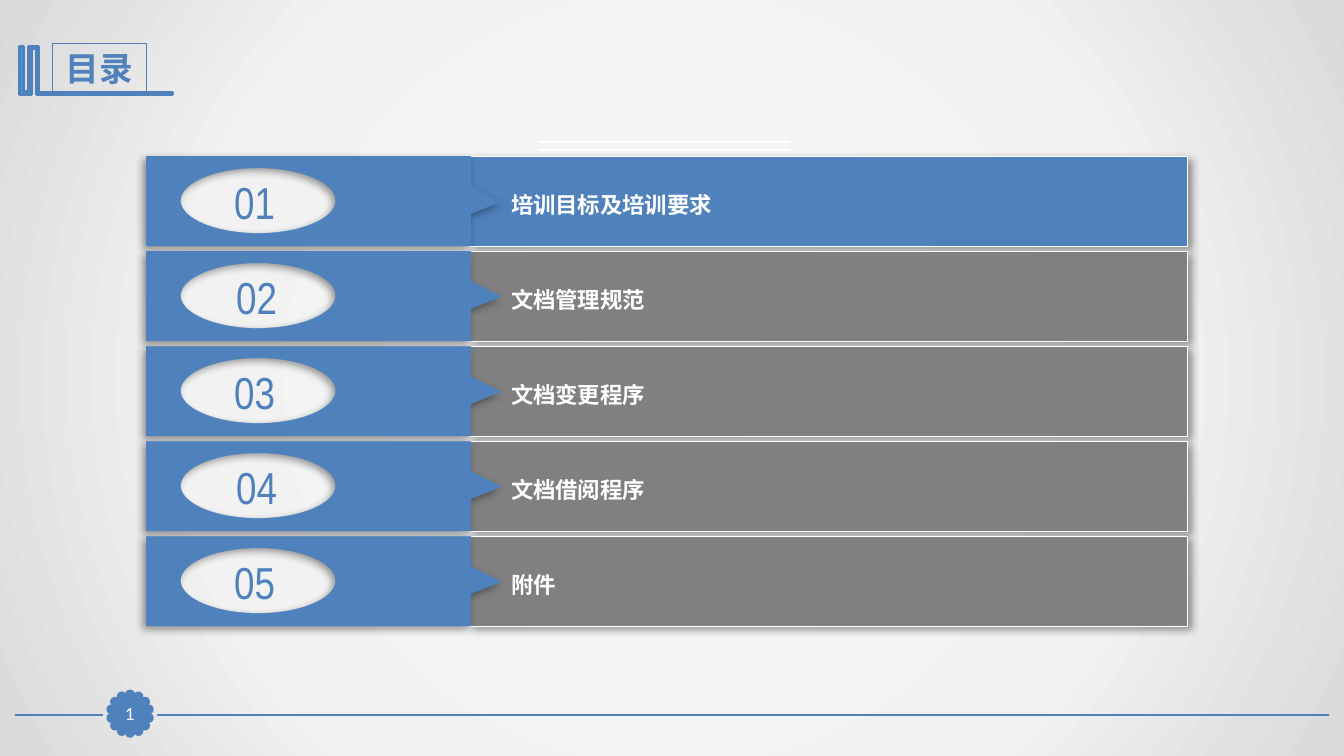
"""Build the contents slide with five numbered agenda rows."""
import math

from lxml import etree
from pptx import Presentation, oxml, util as u
from pptx.dml.color import RGBColor
from pptx.enum import shapes, text
from pptx.oxml import ns

BLUE, GREY, WHITE = "4F81BD", "808080", "FFFFFF"


def paint(shape, fill, line, width, shadow_angle=None):
    shape.shadow.inherit = False
    if fill:
        shape.fill.solid()
        shape.fill.fore_color.rgb = RGBColor.from_string(fill)
    else:
        shape.fill.background()
    shape.line.color.rgb = RGBColor.from_string(line)
    shape.line.width = u.Pt(width)
    if shadow_angle is not None:
        effects = shape._element.spPr.find(ns.qn("a:effectLst"))
        shadow = etree.SubElement(effects, ns.qn("a:outerShdw"), blurRad=str(u.Pt(6)),
                                  dist=str(u.Pt(3)), dir=str(shadow_angle * 60000),
                                  algn="ctr", rotWithShape="0")
        black = etree.SubElement(shadow, ns.qn("a:srgbClr"), val="000000")
        etree.SubElement(black, ns.qn("a:alpha"), val="40000")


def write(shape, words, size, font, color, bold=False, centred=True):
    frame = shape.text_frame
    frame.word_wrap = True
    frame.text = words
    frame.vertical_anchor = text.MSO_ANCHOR.MIDDLE if centred else text.MSO_ANCHOR.TOP
    paragraph = frame.paragraphs[0]
    paragraph.alignment = text.PP_ALIGN.CENTER if centred else text.PP_ALIGN.LEFT
    run_font = paragraph.runs[0].font
    run_font.size, run_font.name, run_font.bold = u.Pt(size), font, bold
    run_font.color.rgb = RGBColor.from_string(color)


presentation = Presentation()
presentation.slide_width, presentation.slide_height = u.Inches(13.33), u.Inches(7.5)
slide = presentation.slides.add_slide(presentation.slide_layouts[6])

stops = "".join(f'<a:gs pos="{position}000"><a:srgbClr val="{color}"/></a:gs>'
                for position, color in ((0, "F6F9FC"), (63, "F2F2F2"), (100, "D9D9D9")))
background = oxml.parse_xml(
    f'<p:bg {ns.nsdecls("p", "a")}><p:bgPr><a:gradFill rotWithShape="1"><a:gsLst>{stops}</a:gsLst>'
    '<a:path path="circle"><a:fillToRect l="50000" t="50000" r="50000" b="50000"/></a:path>'
    '</a:gradFill><a:effectLst/></p:bgPr></p:bg>')
slide._element.cSld.insert(0, background)

for start, end, y, color, width in (
        (13.18, 1.56, 7.09, BLUE, 1.25), (1.02, 0.15, 7.09, BLUE, 1.25),
        (5.35, 7.84, 1.41, WHITE, 1.5), (5.35, 7.84, 1.49, WHITE, 1.5)):
    rule = slide.shapes.add_connector(shapes.MSO_CONNECTOR.STRAIGHT, u.Inches(start),
                                      u.Inches(y), u.Inches(end), u.Inches(y))
    rule.line.color.rgb = RGBColor.from_string(color)
    rule.line.width = u.Pt(width)
    etree.SubElement(rule._element.spPr, ns.qn("a:effectLst"))

PETALS, PETAL_SIZE, SEAL_RADIUS = 14, 0.07, 0.19
seal = slide.shapes.add_group_shape()
for petal_index in range(PETALS):
    angle = 2 * math.pi * petal_index / PETALS
    petal = seal.shapes.add_shape(
        shapes.MSO_SHAPE.OVAL,
        u.Inches(1.29 + SEAL_RADIUS * math.sin(angle) - PETAL_SIZE / 2),
        u.Inches(7.08 - SEAL_RADIUS * math.cos(angle) - PETAL_SIZE / 2),
        u.Inches(PETAL_SIZE), u.Inches(PETAL_SIZE))
    petal.rotation = math.degrees(angle)
    paint(petal, BLUE, BLUE, 2)

page_number = slide.shapes.add_shape(shapes.MSO_SHAPE.RECTANGLE, u.Inches(1.13),
                                     u.Inches(6.93), u.Inches(0.32), u.Inches(0.31))
paint(page_number, BLUE, BLUE, 0.75)
write(page_number, "1", 12, "Lato", WHITE)
frame = page_number.text_frame
frame.margin_left = frame.margin_right = frame.margin_top = frame.margin_bottom = 0

book_points = [(0.37, 0.46), (0.38, 0.46), (0.38, 0.92), (1.71, 0.92), (1.71, 0.94),
               (0.37, 0.94), (0.36, 0.94), (0.36, 0.48), (0.31, 0.48), (0.31, 0.94),
               (0.19, 0.94), (0.19, 0.46), (0.23, 0.46), (0.23, 0.91), (0.28, 0.91),
               (0.28, 0.46)]
book_points = [(u.Inches(x), u.Inches(y)) for x, y in book_points]
builder = slide.shapes.build_freeform(*book_points[0])
builder.add_line_segments(book_points[1:])
paint(builder.convert_to_shape(), "28A9D6", BLUE, 2)

title = slide.shapes.add_shape(shapes.MSO_SHAPE.RECTANGLE, u.Inches(0.52), u.Inches(0.43),
                               u.Inches(0.93), u.Inches(0.5))
paint(title, None, BLUE, 0.75)
write(title, "目录", 24, "Arial Narrow", BLUE, bold=True)

FIRST_TOP, LAST_TOP, ROW_HEIGHT = 1.55, 5.32, 0.89
TAG_LEFT = 1.45
OVAL_X, OVAL_Y, OVAL_WIDTH, OVAL_HEIGHT = 1.11, 0.44, 1.54, 0.65
BEND = 0.55
QUARTERS = [[(-BEND, -1), (-1, -BEND), (-1, 0)], [(-1, BEND), (-BEND, 1), (0, 1)],
            [(BEND, 1), (1, BEND), (1, 0)], [(1, -BEND), (BEND, -1), (0, -1)]]
OVAL_STEPS = [("moveTo", [(0, -1)])] + [("cubicBezTo", quarter) for quarter in QUARTERS]
OVAL_STEPS.append(("close", []))

topics = ["培训目标及培训要求", "文档管理规范", "文档变更程序", "文档借阅程序", "附件"]
row_step = (LAST_TOP - FIRST_TOP) / (len(topics) - 1)
for row, topic in enumerate(topics):
    top = FIRST_TOP + row * row_step
    group = slide.shapes.add_group_shape()
    bar = group.shapes.add_shape(shapes.MSO_SHAPE.RECTANGLE, u.Inches(4.65), u.Inches(top),
                                 u.Inches(7.13), u.Inches(ROW_HEIGHT))
    paint(bar, GREY if row else BLUE, WHITE, 0.25, shadow_angle=45)

    outline = [(TAG_LEFT, 0), (4.67, 0), (4.67, 0.3), (4.97, 0.45), (4.67, 0.57),
               (4.67, ROW_HEIGHT), (TAG_LEFT, ROW_HEIGHT)]
    outline = [(u.Inches(x), u.Inches(top + y)) for x, y in outline]
    builder = group.shapes.build_freeform(*outline[0])
    builder.add_line_segments(outline[1:])
    tag = builder.convert_to_shape()
    tag_outline = next(tag._element.iter(ns.qn("a:path")))
    for command, points in OVAL_STEPS:
        step = etree.SubElement(tag_outline, ns.qn(f"a:{command}"))
        for x, y in points:
            etree.SubElement(step, ns.qn("a:pt"),
                             x=str(u.Inches(OVAL_X + x * OVAL_WIDTH / 2)),
                             y=str(u.Inches(OVAL_Y + y * OVAL_HEIGHT / 2)))
    paint(tag, BLUE, BLUE, 0.25, shadow_angle=135)

    number = group.shapes.add_textbox(u.Inches(1.93 if row % 2 else 1.91), u.Inches(top + 0.13),
                                      u.Inches(1.23), u.Inches(0.64))
    write(number, f"{row + 1:02}", 32, "Arial Narrow", BLUE)
    label = group.shapes.add_textbox(u.Inches(4.97), u.Inches(top + 0.3),
                                     u.Inches(6.81), u.Inches(0.37))
    write(label, topic, 16, "Lato", WHITE, bold=True, centred=False)

presentation.save("out.pptx")
